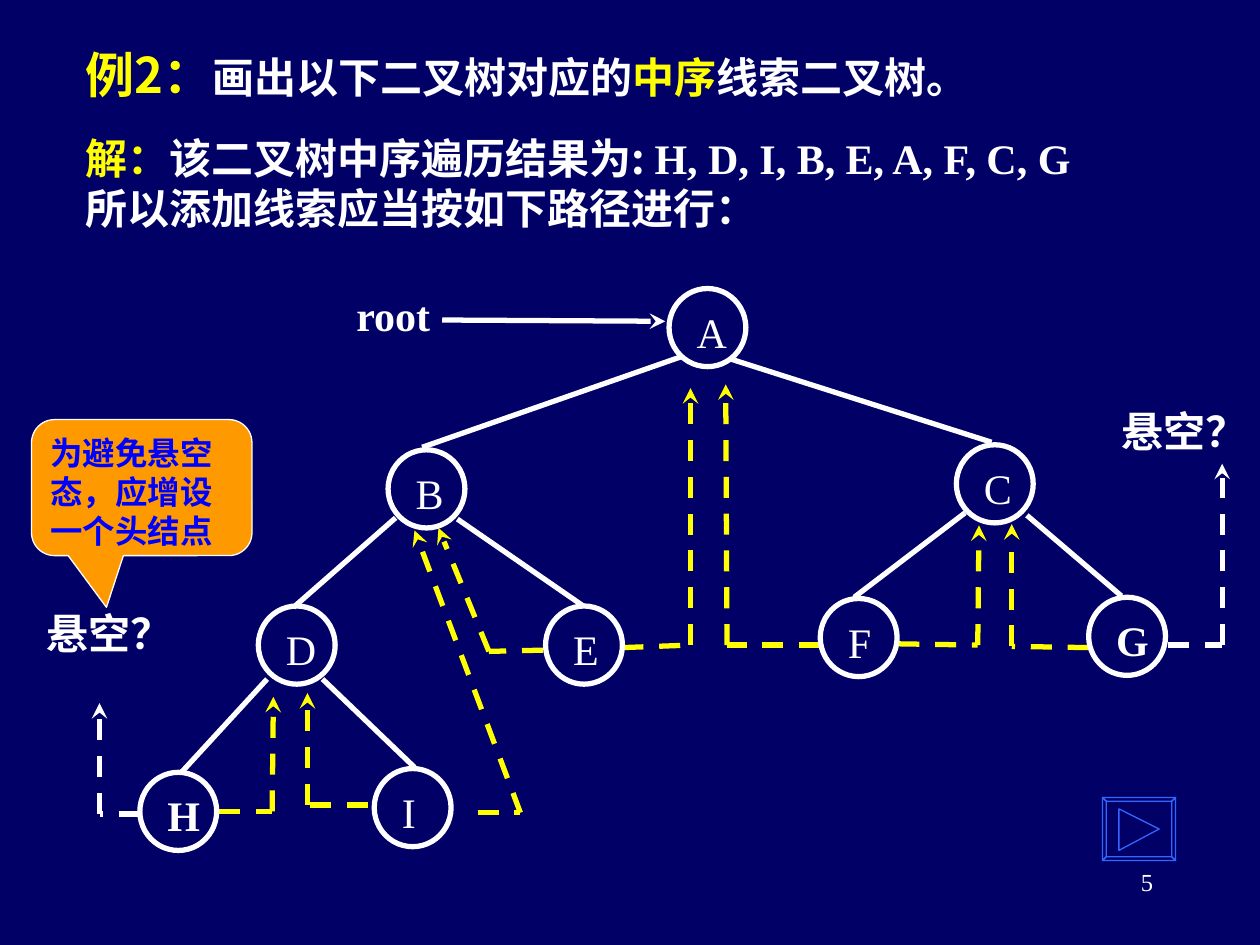
from typing import NamedTuple

from lxml.etree import SubElement as Sub
from pptx import Presentation
from pptx.dml.color import RGBColor
from pptx.enum.dml import MSO_LINE as Dash
from pptx.enum.shapes import MSO_CONNECTOR as Link, MSO_SHAPE as Form
from pptx.enum.text import MSO_ANCHOR as Anchor, MSO_AUTO_SIZE as Fit, PP_ALIGN as Align
from pptx.oxml.ns import qn
from pptx.util import Emu, Pt

PX = 9144
NAVY, WHITE, YELLOW = "000066", "FFFFFF", "FFFF00"
ORANGE, BLUE, SKY = "FF9900", "0000FF", "3366FF"
SERIF, SANS = "Times New Roman", "Noto Sans CJK SC"
SIDE, TALL = 61, 62


class Node(NamedTuple):
    name: str
    x: int
    y: int
    wide: int
    bold: bool = False


class Edge(NamedTuple):
    x1: int
    y1: int
    x2: int
    y2: int


class Thread(NamedTuple):
    start: tuple[int, int]
    bend: tuple[int, int]
    tip: tuple[int, int]
    tint: str = YELLOW


class Part(NamedTuple):
    text: str
    tint: str = WHITE
    face: str = SERIF
    size: float = 24
    bold: bool = True


NODES = [
    Node("A", 531, 229, 44),
    Node("B", 308, 357, 42),
    Node("C", 759, 353, 42),
    Node("D", 205, 481, 44),
    Node("E", 433, 481, 41),
    Node("F", 651, 475, 39),
    Node("G", 864, 474, 46, True),
    Node("H", 111, 613, 46, True),
    Node("I", 297, 610, 31),
]
EDGES = [
    Edge(541, 283, 335, 355),
    Edge(580, 285, 787, 351),
    Edge(314, 411, 233, 482),
    Edge(363, 412, 463, 481),
    Edge(766, 407, 678, 474),
    Edge(815, 409, 890, 473),
    Edge(212, 539, 144, 613),
    Edge(256, 539, 329, 609),
]
THREADS = [
    Thread((379, 645), (413, 645), (329, 421)),
    Thread((431, 516), (388, 517), (348, 419)),
    Thread((292, 639), (244, 639), (244, 550)),
    Thread((174, 644), (216, 644), (217, 553)),
    Thread((651, 512), (577, 512), (576, 305)),
    Thread((864, 514), (803, 513), (803, 416)),
    Thread((494, 514), (548, 512), (548, 308)),
    Thread((713, 511), (776, 512), (777, 417)),
    Thread((111, 646), (79, 646), (79, 558), WHITE),
    Thread((927, 512), (970, 512), (970, 368), WHITE),
]


def px(*vals: int) -> list[Emu]:
    return [Emu(val * PX) for val in vals]


def tone(code: str) -> RGBColor:
    return RGBColor.from_string(code)


def pen(shape, tint: str, wide: float) -> None:
    shape.line.color.rgb = tone(tint)
    shape.line.width = Pt(wide)


def write(frame, rows: list[list[Part]], lead: float = 28.8) -> None:
    frame.word_wrap = True
    for i, row in enumerate(rows):
        para = frame.add_paragraph() if i else frame.paragraphs[0]
        para.alignment = Align.LEFT
        para.line_spacing = Pt(lead)
        for part in row:
            run = para.add_run()
            run.text = part.text
            font = run.font
            font.name, font.size, font.bold = part.face, Pt(part.size), part.bold
            font.color.rgb = tone(part.tint)
            Sub(font._element, qn("a:ea")).set("typeface", SANS)


def label(shapes, x: int, y: int, w: int, h: int, *rows: list[Part]):
    box = shapes.add_textbox(*px(x, y, w, h))
    write(box.text_frame, list(rows))
    return box


def line(shapes, edge: Edge, tint: str = WHITE, dash: bool = False, tip: bool = False) -> None:
    link = shapes.add_connector(Link.STRAIGHT, *px(*edge))
    pen(link, tint, 3)
    if dash:
        link.line.dash_style = Dash.DASH
    if tip:
        Sub(link.line._get_or_add_ln(), qn("a:tailEnd")).set("type", "stealth")
    Sub(link._element.spPr, qn("a:effectLst"))


def thread(shapes, item: Thread) -> None:
    line(shapes, Edge(*item.start, *item.bend), item.tint, True)
    line(shapes, Edge(*item.bend, *item.tip), item.tint, True, True)


def node(shapes, item: Node) -> None:
    ring = shapes.add_shape(Form.OVAL, *px(item.x, item.y, SIDE, TALL))
    ring.shadow.inherit = False
    ring.fill.background()
    pen(ring, WHITE, 3)
    box = label(shapes, item.x + 12, item.y + 9, item.wide, 50, [Part(item.name, bold=item.bold)])
    box.text_frame.word_wrap = False


def button(shapes, x: int, y: int, w: int, h: int, rim: int = 3) -> None:
    outer = [(x, y), (x + w, y), (x + w, y + h), (x, y + h)]
    inner = [(x + rim, y + rim), (x + w - rim, y + rim),
             (x + w - rim, y + h - rim), (x + rim, y + h - rim)]
    loops = [outer, [(x + 13, y + 9), (x + 45, y + 25), (x + 13, y + 42)]]
    for i in range(4):
        j = (i + 1) % 4
        loops.append([outer[i], outer[j], inner[j], inner[i]])
    pad = shapes.build_freeform(x, y, PX)
    for loop in loops:
        pad.move_to(*loop[0])
        pad.add_line_segments(loop[1:], close=True)
    shape = pad.convert_to_shape()
    shape.shadow.inherit = False
    shape.fill.background()
    pen(shape, SKY, 0.75)


def callout(shapes) -> None:
    note = shapes.add_shape(Form.ROUNDED_RECTANGULAR_CALLOUT, *px(25, 333, 175, 108))
    for i, val in enumerate((-0.16, 0.88, 0.17)):
        note.adjustments[i] = val
    note.shadow.inherit = False
    note.fill.solid()
    note.fill.fore_color.rgb = tone(ORANGE)
    pen(note, WHITE, 0.75)
    note.text_frame.vertical_anchor = Anchor.TOP
    write(note.text_frame, [[Part("为避免悬空态，应增设一个头结点", BLUE, size=18.5)]], 22.3)


def main() -> None:
    deck = Presentation()
    deck.slide_width, deck.slide_height = px(1000, 750)
    slide = deck.slides.add_slide(deck.slide_layouts[5])
    slide.background.fill.solid()
    slide.background.fill.fore_color.rgb = tone(NAVY)
    shapes = slide.shapes

    title = shapes.title
    title.left, title.top, title.width, title.height = px(58, 25, 850, 67)
    title.text_frame.auto_size = Fit.NONE
    title.text_frame.vertical_anchor = Anchor.MIDDLE
    write(title.text_frame, [[
        Part("例2：", YELLOW, SANS, 28), Part("画出以下二叉树对应的", face=SANS),
        Part("中序", YELLOW, SANS), Part("线索二叉树。", face=SANS)]], 33.6)

    for item in THREADS:
        thread(shapes, item)
    for item in NODES:
        node(shapes, item)
    for edge in EDGES:
        line(shapes, edge)
    line(shapes, Edge(351, 254, 528, 255), tip=True)

    root = label(shapes, 273, 225, 79, 50, [Part("root")])
    root.text_frame.word_wrap = False
    for x, y, w, h in ((27, 477, 115, 90), (880, 317, 121, 50)):
        label(shapes, x, y, w, h, [Part("悬空？")])
    label(shapes, 58, 100, 883, 90,
          [Part("解：", YELLOW, SANS), Part("该二叉树中序遍历结果为: ", face=SANS),
           Part("H, D, I, B, E, A, F, C, G")],
          [Part("所以添加线索应当按如下路径进行：", face=SANS)])
    callout(shapes)
    button(shapes, 875, 633, 58, 50)
    page = label(shapes, 717, 683, 208, 50, [Part("5", size=14, bold=False)])
    page.text_frame.paragraphs[0].alignment = Align.RIGHT
    page.text_frame.paragraphs[0].line_spacing = 1.0
    deck.save("out.pptx")


if __name__ == "__main__":
    main()
